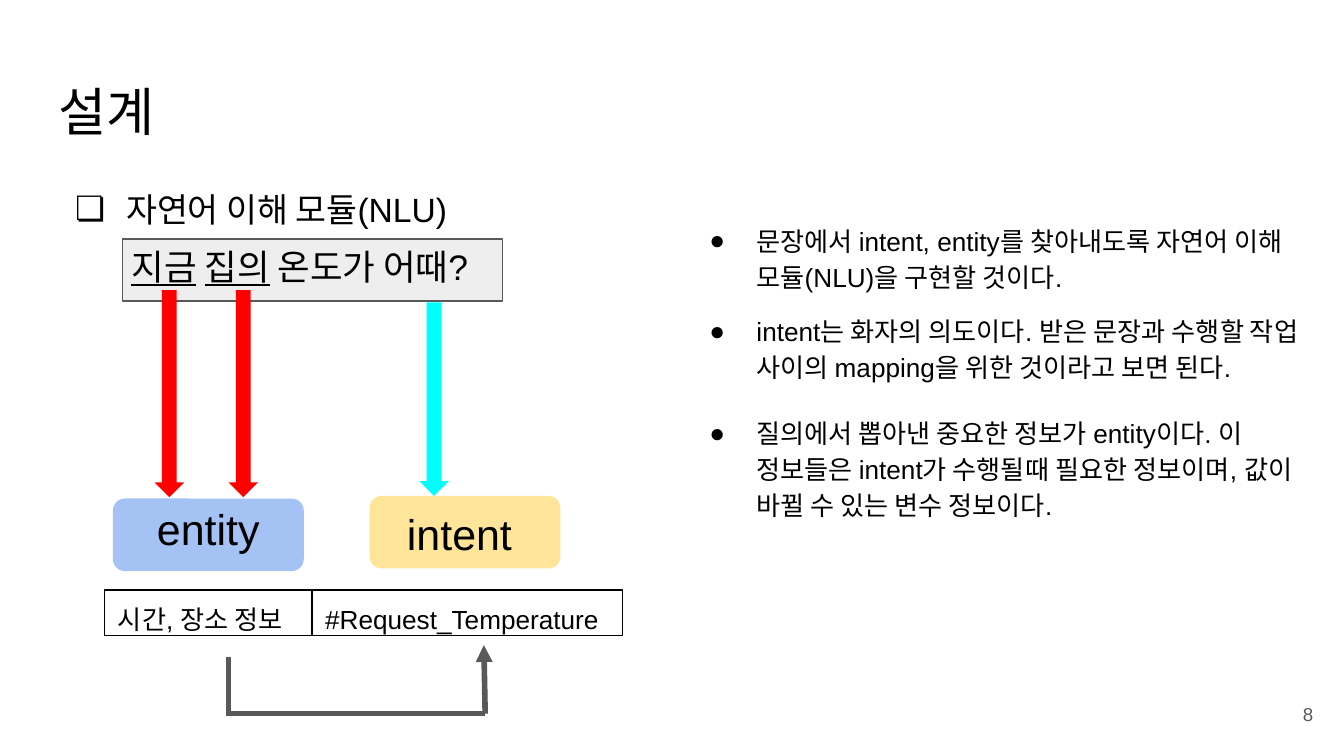
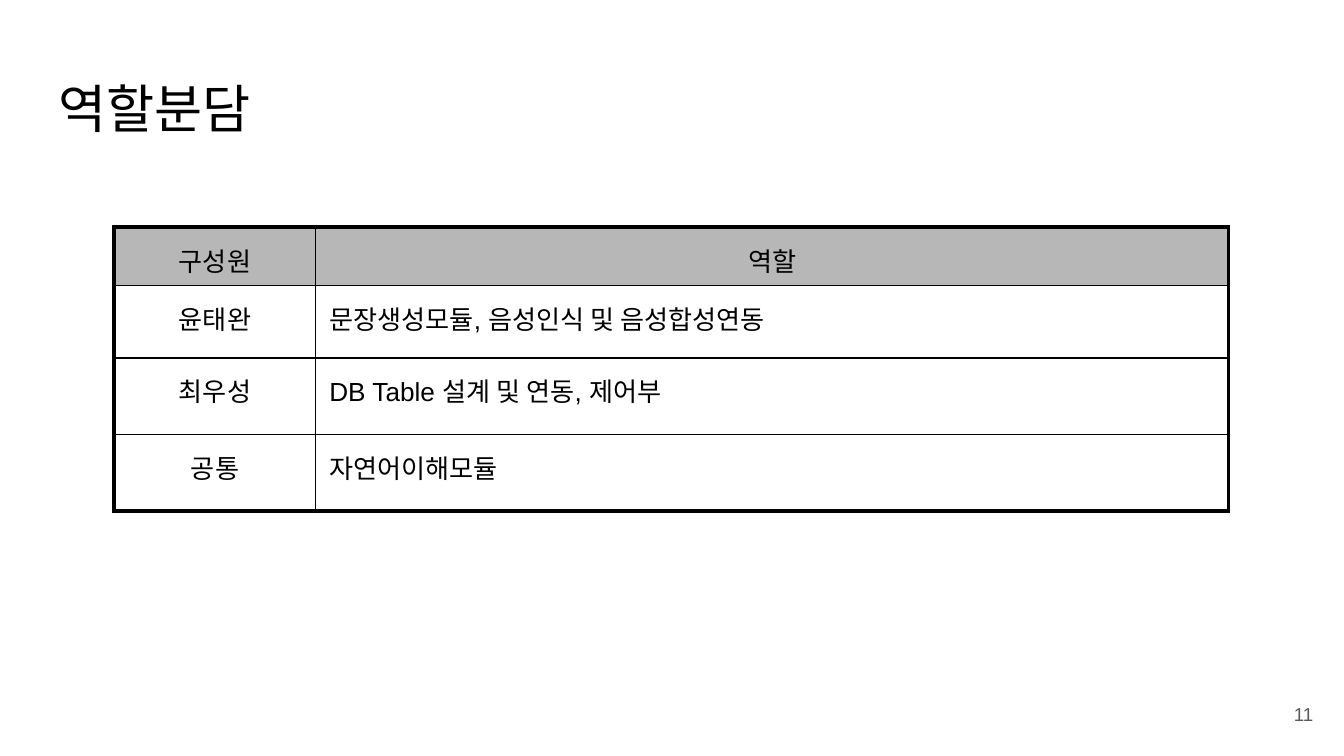
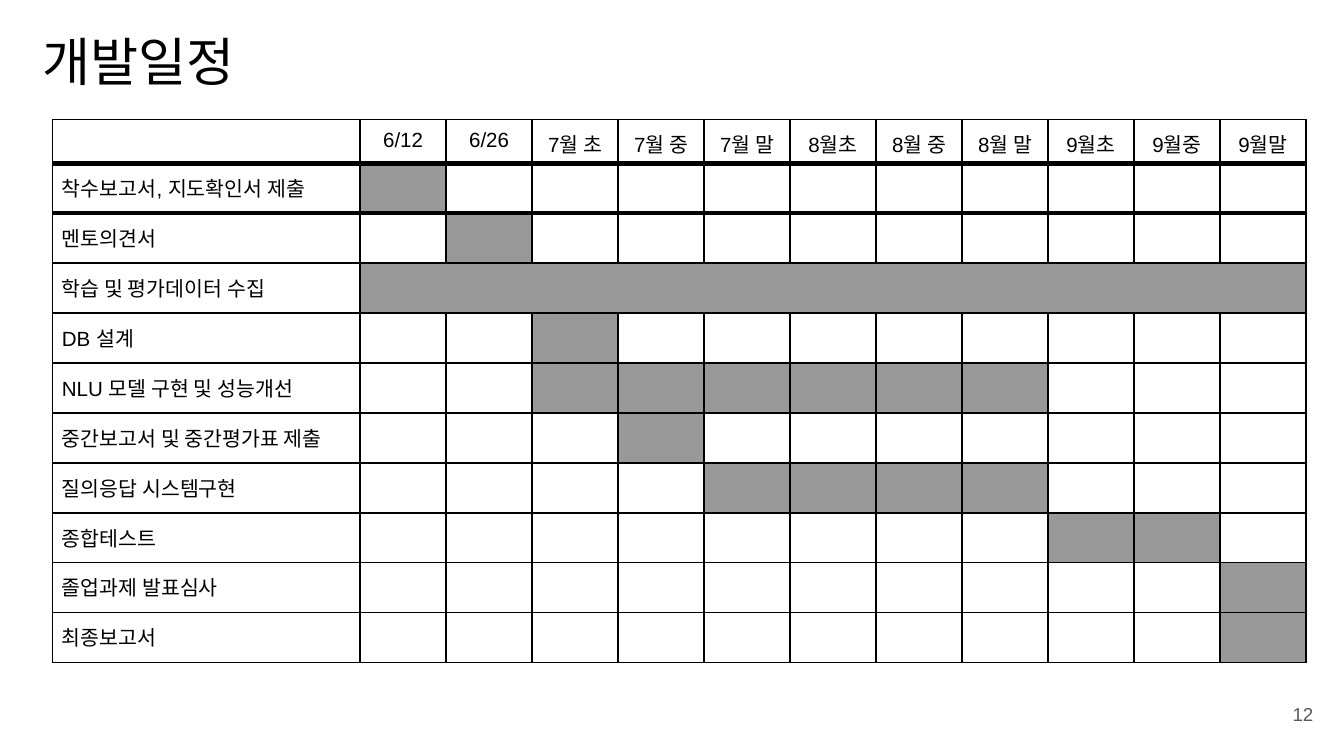
from lxml import etree
from pptx import Presentation
from pptx.dml.color import RGBColor
from pptx.enum.shapes import MSO_CONNECTOR, MSO_SHAPE
from pptx.enum.text import MSO_ANCHOR, PP_ALIGN
from pptx.oxml.ns import qn
from pptx.util import Inches, Pt

RECT, ROUND, DOWN = MSO_SHAPE.RECTANGLE, MSO_SHAPE.ROUNDED_RECTANGLE, MSO_SHAPE.DOWN_ARROW
STRAIGHT = MSO_CONNECTOR.STRAIGHT
LEFT, CENTER, RIGHT = PP_ALIGN.LEFT, PP_ALIGN.CENTER, PP_ALIGN.RIGHT
TOP, MIDDLE = MSO_ANCHOR.TOP, MSO_ANCHOR.MIDDLE

BLACK = RGBColor(0x00, 0x00, 0x00)
DARK_GRAY = RGBColor(0x59, 0x59, 0x59)
PALE_GRAY = RGBColor(0xEE, 0xEE, 0xEE)
HEADER_GRAY = RGBColor(0xB7, 0xB7, 0xB7)
BAR_GRAY = RGBColor(0x99, 0x99, 0x99)
RED = RGBColor(0xFF, 0x00, 0x00)
CYAN = RGBColor(0x00, 0xFF, 0xFF)
BLUE = RGBColor(0xA4, 0xC2, 0xF4)
YELLOW = RGBColor(0xFF, 0xE5, 0x99)

FONT = "Arial"
GRID_COLUMNS = 100


class Deck:
    """Style and current slide; all lengths are units of a 100-column square grid."""

    def __init__(self):
        self.prs = Presentation()
        self.prs.slide_width, self.prs.slide_height = Inches(10), Inches(5.625)
        self.unit = self.prs.slide_width / GRID_COLUMNS
        self.slide = None

    def grid(self, *lengths):
        return [round(length * self.unit) for length in lengths]

    def new_slide(self, title, number, left=3.4, top=4.9):
        self.slide = self.prs.slides.add_slide(self.prs.slide_layouts[6])
        self.text((left, top, 93.2, 6.3), title, 28)
        self.text((92.7, 51, 6, 4.3), number, 10, color=DARK_GRAY, align=RIGHT, anchor=MIDDLE)

    def add_words(self, paragraph, content, size, color=BLACK, align=LEFT):
        """Content is a string or a list of (string, underlined) pairs."""
        paragraph.alignment = align
        for words, underlined in [(content, None)] if isinstance(content, str) else content:
            run = paragraph.add_run()
            run.text = words
            for name, value in dict(name=FONT, size=Pt(size), underline=underlined).items():
                setattr(run.font, name, value)
            run.font.color.rgb = color

    def frame(self, shape, anchor=TOP, right=1):
        left, right = self.grid(1, right)
        settings = dict(word_wrap=True, vertical_anchor=anchor, margin_left=left,
                        margin_top=left, margin_bottom=left, margin_right=right)
        for name, value in settings.items():
            setattr(shape.text_frame, name, value)
        return shape.text_frame

    def text(self, place, content, size, anchor=TOP, **style):
        frame = self.frame(self.slide.shapes.add_textbox(*self.grid(*place)), anchor)
        self.add_words(frame.paragraphs[0], content, size, **style)

    def bullets(self, place, items, size, mark, hang):
        """Items are (lines, space before, space after)."""
        frame = self.frame(self.slide.shapes.add_textbox(*self.grid(*place)))
        for index, (lines, before, after) in enumerate(items):
            paragraph = frame.add_paragraph() if index else frame.paragraphs[0]
            spacing = dict(line_spacing=1.15, space_before=Pt(before), space_after=Pt(after))
            for name, value in spacing.items():
                setattr(paragraph, name, value)
            for number, content in enumerate(lines):
                if number:
                    paragraph.add_line_break()
                self.add_words(paragraph, content, size)
            properties = paragraph._p.get_or_add_pPr()
            indent, hanging = self.grid(5, hang)
            properties.set("marL", str(indent))
            properties.set("indent", str(-hanging))
            etree.SubElement(properties, qn("a:buFont"), typeface=FONT)
            etree.SubElement(properties, qn("a:buChar"), char=mark)

    def shape(self, kind, place, fill=None, line=None, label=None):
        shape = self.slide.shapes.add_shape(kind, *self.grid(*place))
        shape.shadow.inherit = False
        if fill is None:
            shape.fill.background()
        else:
            shape.fill.solid()
            shape.fill.fore_color.rgb = fill
        if line is None:
            shape.line.fill.background()
        else:
            shape.line.color.rgb = line
            shape.line.width = Pt(0.75)
        if label:
            self.add_words(self.frame(shape, right=0).paragraphs[0], label, 14)

    def line(self, start, end, arrow=False):
        link = self.slide.shapes.add_connector(STRAIGHT, *self.grid(*start, *end))
        link.line.color.rgb = DARK_GRAY
        link.line.width = Pt(3)
        if arrow:
            etree.SubElement(link.line._get_or_add_ln(), qn("a:tailEnd"), type="triangle")
        etree.SubElement(link._element.spPr, qn("a:effectLst"))

    def table(self, corner, widths, heights):
        place = self.grid(*corner, sum(widths), sum(heights))
        table = self.slide.shapes.add_table(len(heights), len(widths), *place).table
        table.first_row = table.horz_banding = False
        for column, width in zip(table.columns, self.grid(*widths)):
            column.width = width
        for row, height in zip(table.rows, self.grid(*heights)):
            row.height = height
        return table

    def cell(self, cell, content, size, inset, borders, fill=None, align=LEFT):
        """Borders are the point widths of the left, right, top and bottom edges."""
        for side in ("left", "right", "top", "bottom"):
            setattr(cell, f"margin_{side}", self.grid(inset)[0])
        paragraph = cell.text_frame.paragraphs[0]
        if content:
            self.add_words(paragraph, content, size, align=align)
        else:
            etree.SubElement(paragraph._p, qn("a:endParaRPr"), sz=str(size * 100))
        properties = cell._tc.get_or_add_tcPr()
        for side, width in zip("LRTB", borders):
            edge = etree.SubElement(properties, qn(f"a:ln{side}"), w=str(int(Pt(width))))
            solid = etree.SubElement(edge, qn("a:solidFill"))
            etree.SubElement(solid, qn("a:srgbClr"), val=str(BLACK))
        if fill is None:
            cell.fill.background()
        else:
            cell.fill.solid()
            cell.fill.fore_color.rgb = fill


def design_slide(deck):
    deck.new_slide("설계", "8")
    deck.bullets((3.4, 12.6, 46.6, 4.6), [(["자연어 이해 모듈(NLU)"], 0, 0)], 18, "❏", 3.8)
    deck.bullets((50.3, 15.4, 48.2, 35.7), [
        (["문장에서 intent, entity를 찾아내도록 자연어 이해 모듈(NLU)을 구현할 것이다."], 10, 0),
        (["intent는 화자의 의도이다. 받은 문장과 수행할 작업 사이의 mapping을 위한 것이라고 보면 된다."],
         10, 0),
        (["질의에서 뽑아낸 중요한 정보가 entity이다. 이",
          "정보들은 intent가 수행될때 필요한 정보이며, 값이 바뀔 수 있는 변수 정보이다."], 16, 16),
    ], 14, "●", 3.5)

    # Sample question, with the words that are extracted underlined
    deck.shape(RECT, (9.1, 17.8, 28.3, 4.6), PALE_GRAY, DARK_GRAY)
    deck.text((8.8, 17.2, 31.1, 5.4),
              [("지금", True), (" ", False), ("집의", True), (" 온도가 어때?", False)], 19)

    # Arrows from the question to its parts
    for left, top, height, color in ((31.2, 22.5, 14.4, CYAN), (11.5, 21.6, 15.4, RED),
                                     (17, 21.6, 15.4, RED)):
        deck.shape(DOWN, (left, top, 2.2, height), color)

    # Extracted parts
    for left, top, color, word, word_place in (
            (27.5, 36.9, YELLOW, "intent", (29.3, 36.8, 10.7, 3.1)),
            (8.4, 37.1, BLUE, "entity", (10.7, 36.4, 10, 4.2))):
        deck.shape(ROUND, (left, top, 14.2, 5.4), color)
        deck.text(word_place, word, 23)

    # Values found, and the link from entity to intent
    for left, width, value in ((7.8, 15.4, "시간, 장소 정보"),
                               (23.2, 23.1, "#Request_Temperature")):
        deck.shape(RECT, (left, 43.9, width, 3.4), line=BLACK, label=value)
    deck.line((17, 48.9), (17, 53.3))
    deck.line((17, 53.1), (36.1, 53.1))
    deck.line((36.1, 53.1), (36, 48), arrow=True)


def roles_slide(deck):
    deck.new_slide("역할분담", "11", top=4.7)
    roles = [("구성원", "역할"),
             ("윤태완", "문장생성모듈, 음성인식 및 음성합성연동"),
             ("최우성", "DB Table 설계 및 연동, 제어부"),
             ("공통", "자연어이해모듈")]
    thin, thick = 0.75, 2.25
    table = deck.table((8.5, 16.9), [15, 67.9], [4.3, 5.4, 5.7, 5.7])
    for row, entries in enumerate(roles):
        header = row == 0
        for column, entry in enumerate(entries):
            first = column == 0
            borders = (thick if first else thin, thin if first else thick,
                       thick if header else thin, thick if row == len(roles) - 1 else thin)
            deck.cell(table.cell(row, column), entry, 14, 1, borders,
                      HEADER_GRAY if header else None, CENTER if header or first else LEFT)


def schedule_slide(deck):
    deck.new_slide("개발일정", "12", left=2.2, top=1.2)
    periods = ["6/12", "6/26", "7월 초", "7월 중", "7월 말", "8월초",
               "8월 중", "8월 말", "9월초", "9월중", "9월말"]
    # Task, first period, last period
    tasks = [("착수보고서, 지도확인서 제출", 1, 1), ("멘토의견서", 2, 2),
             ("학습 및 평가데이터 수집", 1, 11), ("DB 설계", 3, 3),
             ("NLU 모델 구현 및 성능개선", 3, 8), ("중간보고서 및 중간평가표 제출", 4, 4),
             ("질의응답 시스템구현", 5, 8), ("종합테스트", 9, 10),
             ("졸업과제 발표심사", 11, 11), ("최종보고서", 11, 11)]
    thin, thick = 1, 3
    table = deck.table((3.9, 8.9), [22.9] + [6.4] * len(periods), [2] + [3.72] * len(tasks))
    for column, period in enumerate(["", *periods]):
        deck.cell(table.cell(0, column), period, 11, 0.7, (thin, thin, thin, thick), align=CENTER)
    for row, (task, start, end) in enumerate(tasks, 1):
        borders = (thin, thin, thick if row <= 2 else thin, thick if row == 1 else thin)
        for column in range(len(periods) + 1):
            deck.cell(table.cell(row, column), "" if column else task, 11, 0.7, borders,
                      BAR_GRAY if start <= column <= end else None)
        if end - start + 1 == len(periods):
            table.cell(row, start).merge(table.cell(row, end))


def main():
    deck = Deck()
    for build in (design_slide, roles_slide, schedule_slide):
        build(deck)
    deck.prs.save("out.pptx")


if __name__ == "__main__":
    main()
